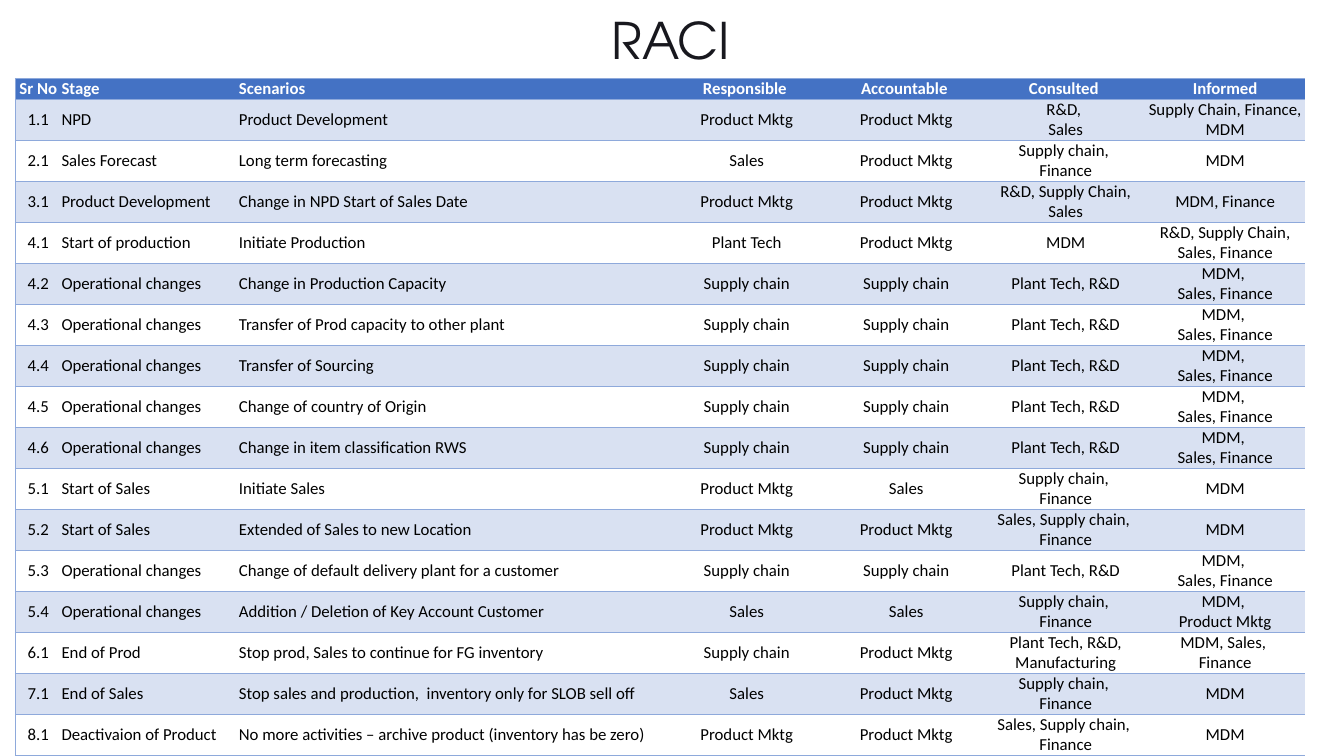
import dataclasses

import lxml.etree
import pptx
import pptx.dml.color
import pptx.enum.text
import pptx.oxml.ns
import pptx.util

Cm = pptx.util.Cm
Pt = pptx.util.Pt
ALIGN = pptx.enum.text.PP_ALIGN
ANCHOR = pptx.enum.text.MSO_ANCHOR


@dataclasses.dataclass(frozen=True)
class Theme:
    title_font: str = "TeX Gyre Adventor"
    body_font: str = "Calibri"
    title_size: float = 36
    body_size: float = 12
    title_color: str = "18181E"
    header_fill: str = "4472C4"
    header_text: str = "FFFFFF"
    body_text: str = "000000"
    band_fill: str = "D9E1F2"
    border: str = "8EA9DB"
    border_width: float = 0.5


THEME = Theme()
NO_GRID_STYLE = "{2D5ABB26-0587-4C30-8999-92F81FD0307C}"
COLUMN_WIDTHS = [1.17, 4.47, 10.79] + [4.02] * 4
HEADER_HEIGHT = 0.51
LEFT_COLUMNS = (1, 2)

HEADER = ("Sr No", "Stage", "Scenarios", "Responsible ", "Accountable ", "Consulted ", "Informed")
SUPPLY = "Supply chain"
MARKETING = "Product Mktg"
OPERATIONS = "Operational changes"
PLANT = "Plant Tech, R&D"
SUPPLY_FINANCE = "Supply chain, \vFinance"
SALES_SUPPLY_FINANCE = "Sales, Supply chain, \vFinance"
MDM_SALES_FINANCE = "MDM, \vSales, Finance"
PLANT_CHANGE = (SUPPLY, SUPPLY, PLANT, MDM_SALES_FINANCE)

ROWS = [
    ("1.1", "NPD", "Product Development", MARKETING, MARKETING, "R&D, \vSales", "Supply Chain, Finance, MDM"),
    ("2.1", "Sales Forecast", "Long term forecasting", "Sales", MARKETING, SUPPLY_FINANCE, "MDM"),
    ("3.1", "Product Development", "Change in NPD Start of Sales Date",
     MARKETING, MARKETING, "R&D, Supply Chain, Sales", "MDM, Finance"),
    ("4.1", "Start of production", "Initiate Production",
     "Plant Tech", MARKETING, "MDM", "R&D, Supply Chain, Sales, Finance"),
    ("4.2", OPERATIONS, "Change in Production Capacity", *PLANT_CHANGE),
    ("4.3", OPERATIONS, "Transfer of Prod capacity to other plant", *PLANT_CHANGE),
    ("4.4", OPERATIONS, "Transfer of Sourcing", *PLANT_CHANGE),
    ("4.5", OPERATIONS, "Change of country of Origin", *PLANT_CHANGE),
    ("4.6", OPERATIONS, "Change in item classification RWS", *PLANT_CHANGE),
    ("5.1", "Start of Sales", "Initiate Sales", MARKETING, "Sales", SUPPLY_FINANCE, "MDM"),
    ("5.2", "Start of Sales", "Extended of Sales to new Location",
     MARKETING, MARKETING, SALES_SUPPLY_FINANCE, "MDM"),
    ("5.3", OPERATIONS, "Change of default delivery plant for a customer", *PLANT_CHANGE),
    ("5.4", OPERATIONS, "Addition / Deletion of Key Account Customer",
     "Sales", "Sales", SUPPLY_FINANCE, "MDM, \vProduct Mktg"),
    ("6.1", "End of Prod", "Stop prod, Sales to continue for FG inventory",
     SUPPLY, MARKETING, "Plant Tech, R&D, Manufacturing", "MDM, Sales, \vFinance"),
    ("7.1", "End of Sales", "Stop sales and production,  inventory only for SLOB sell off",
     "Sales", MARKETING, SUPPLY_FINANCE, "MDM"),
    ("8.1", "Deactivaion of Product", "No more activities – archive product (inventory has be zero)",
     MARKETING, MARKETING, SALES_SUPPLY_FINANCE, "MDM"),
]


def set_font(paragraph, name, size, color, bold=False):
    paragraph.font.name = name
    paragraph.font.size = Pt(size)
    paragraph.font.bold = bold
    paragraph.font.color.rgb = pptx.dml.color.RGBColor.from_string(color)


def add_borders(cell, sides):
    qn = pptx.oxml.ns.qn
    properties = cell._tc.get_or_add_tcPr()
    for side in sides:
        line = lxml.etree.SubElement(properties, qn("a:ln" + side), w=str(Pt(THEME.border_width)))
        fill = lxml.etree.SubElement(line, qn("a:solidFill"))
        lxml.etree.SubElement(fill, qn("a:srgbClr"), val=THEME.border)


def format_cell(cell, text, row, column):
    cell.text = text
    cell.vertical_anchor = ANCHOR.MIDDLE
    cell.margin_left = cell.margin_right = cell.margin_top = cell.margin_bottom = 0
    add_borders(cell, "LTB" if column == 0 else "TB")
    if row % 2 or row == 0:
        color = THEME.band_fill if row else THEME.header_fill
        cell.fill.solid()
        cell.fill.fore_color.rgb = pptx.dml.color.RGBColor.from_string(color)
    else:
        cell.fill.background()
    paragraph = cell.text_frame.paragraphs[0]
    paragraph.alignment = ALIGN.LEFT if column in LEFT_COLUMNS else ALIGN.CENTER
    text_color = THEME.body_text if row else THEME.header_text
    set_font(paragraph, THEME.body_font, THEME.body_size, text_color, bold=row == 0)


def place_title(slide, left, top, width, height):
    title = slide.shapes.title
    title.left, title.top, title.width, title.height = Cm(left), Cm(top), Cm(width), Cm(height)
    frame = title.text_frame
    frame.text = "RACI"
    frame.auto_size = pptx.enum.text.MSO_AUTO_SIZE.NONE
    frame.vertical_anchor = ANCHOR.MIDDLE
    paragraph = frame.paragraphs[0]
    paragraph.alignment = ALIGN.LEFT
    paragraph.line_spacing = 0.9
    set_font(paragraph, THEME.title_font, THEME.title_size, THEME.title_color)


def place_raci_table(slide, left, top, width, height):
    records = [HEADER, *ROWS]
    frame = slide.shapes.add_table(
        len(records), len(HEADER), Cm(left), Cm(top), Cm(width), Cm(height))
    table = frame.table
    table.first_row = table.horz_banding = False
    table._tbl.tblPr.find(pptx.oxml.ns.qn("a:tableStyleId")).text = NO_GRID_STYLE
    for column, share in zip(table.columns, COLUMN_WIDTHS):
        column.width = Cm(width * share / sum(COLUMN_WIDTHS))
    body_height = (height - HEADER_HEIGHT) / len(ROWS)
    for row, record in enumerate(records):
        table.rows[row].height = Cm(body_height if row else HEADER_HEIGHT)
        for column, text in enumerate(record):
            format_cell(table.cell(row, column), text, row, column)


def main():
    presentation = pptx.Presentation()
    presentation.slide_width, presentation.slide_height = Cm(33.87), Cm(19.05)
    slide = presentation.slides.add_slide(presentation.slide_layouts[5])
    place_title(slide, 15.16, 0.25, 5.16, 1.68)
    place_raci_table(slide, 0.38, 1.98, 32.51, 16.84)
    presentation.save("out.pptx")


if __name__ == "__main__":
    main()
